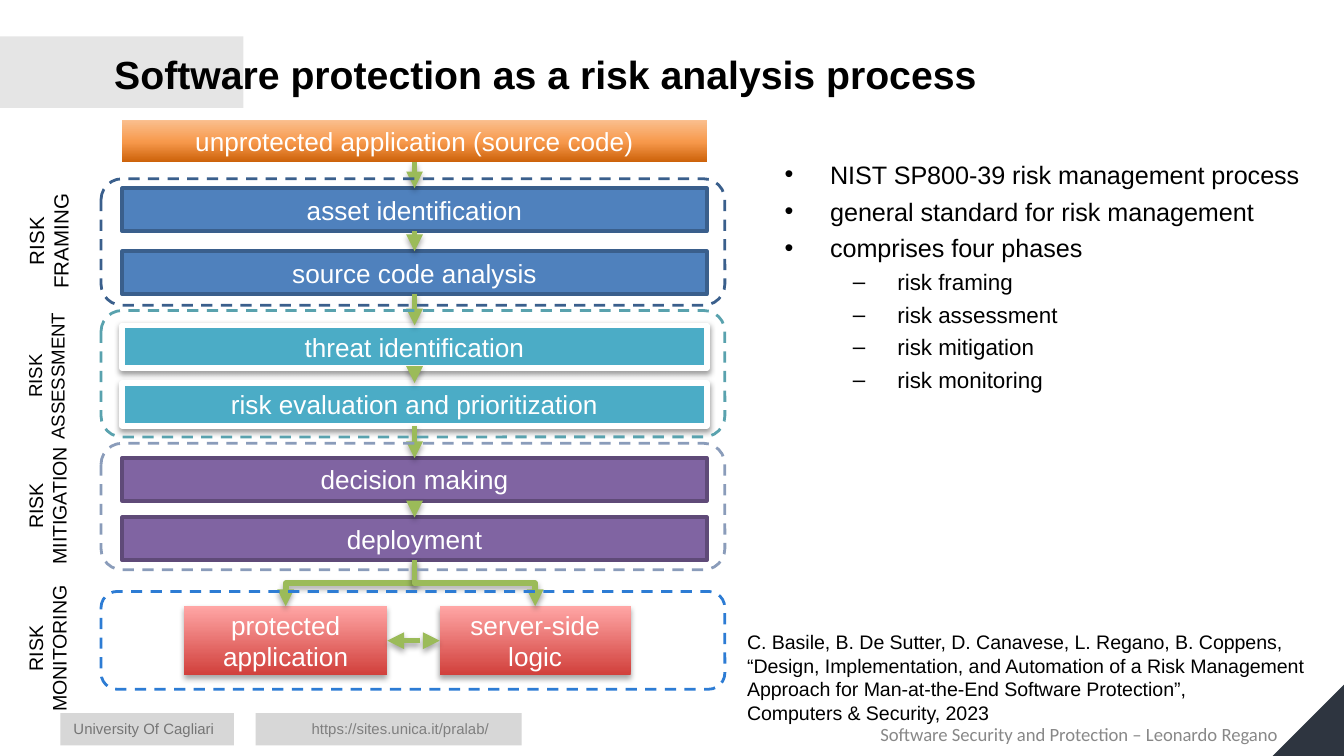
from pptx import Presentation
from pptx.dml.color import RGBColor
from pptx.enum.dml import MSO_LINE
from pptx.enum.shapes import MSO_CONNECTOR, MSO_SHAPE
from pptx.enum.text import MSO_ANCHOR, PP_ALIGN
from pptx.oxml import parse_xml
from pptx.oxml.ns import nsdecls, qn
from pptx.util import Cm, Pt

RECT, ROUND, CORNER = MSO_SHAPE.RECTANGLE, MSO_SHAPE.ROUNDED_RECTANGLE, MSO_SHAPE.RIGHT_TRIANGLE
STRAIGHT, ELBOW = MSO_CONNECTOR.STRAIGHT, MSO_CONNECTOR.ELBOW
DASH, DOT = MSO_LINE.DASH, MSO_LINE.SQUARE_DOT
MIDDLE, LEFT, CENTER, RIGHT = MSO_ANCHOR.MIDDLE, PP_ALIGN.LEFT, PP_ALIGN.CENTER, PP_ALIGN.RIGHT
BOTTOM_SIDE, TOP_SIDE, LEFT_SIDE, RIGHT_SIDE = 2, 0, 1, 3

ORANGE = [(0, "CC6109"), (48, "F7994C"), (100, "FAC090")]
RED = [(0, "D1403C"), (100, "FFA6A5")]
GREEN = "9BBB59"
SOFT = (35, 1.8)   # shadow opacity in percent, distance in points
DEEP = (38, 1.6)

BLUE = {"fill": "4F81BD", "line": ("3A5F8C", 2)}
TEAL = {"fill": "4BACC6", "line": ("FFFFFF", 3), "shade": DEEP}
PURPLE = {"fill": "8064A2", "line": ("5F4A78", 2)}

# text, top, look
STEPS = [
    ("unprotected application (source code)", 2.26, {"fill": ORANGE}),
    ("asset identification", 3.56, BLUE),
    ("source code analysis", 4.75, BLUE),
    ("threat identification", 6.15, TEAL),
    ("risk evaluation and prioritization", 7.24, TEAL),
    ("decision making", 8.66, PURPLE),
    ("deployment", 9.78, PURPLE),
]
STEP_X, STEP_W, STEP_H = 2.31, 11.05, 0.81

# text, left, width
RESULTS = [("protected application", 3.48, 3.84), ("server-side logic", 8.31, 3.61)]
RESULT_Y, RESULT_H = 11.46, 1.3

# label, size, label width, label middle, frame top, frame height, colour
PHASES = [
    ("RISK FRAMING", 11, 2.39, 4.56, 3.38, 2.39, "3A5F8C"),
    ("RISK ASSESSMENT", 10, 3, 7.11, 5.87, 2.39, "59A2AE"),
    ("RISK MIITIGATION", 10.5, 2.82, 9.56, 8.38, 2.39, "8A9CBA"),
    ("RISK MONITORING", 10.5, 3, 12.26, 11.18, 1.85, "2D7CD4"),
]
FRAME_X, FRAME_W, LABEL_X, LABEL_H = 1.91, 11.79, 0.89, 1.14

POINTS = [
    (0, "NIST SP800-39 risk management process"),
    (0, "general standard for risk management"),
    (0, "comprises four phases"),
    (1, "risk framing"),
    (1, "risk assessment"),
    (1, "risk mitigation"),
    (1, "risk monitoring"),
]
# bullet, size, space before, indent, hanging
LEVELS = [("•", 13.5, 3.6, 1.27, 0.86), ("–", 12, 3, 2.54, 0.84)]

CITE = ("C. Basile, B. De Sutter, D. Canavese, L. Regano, B. Coppens, "
        "“Design, Implementation, and Automation of a Risk Management "
        "Approach for Man-at-the-End Software Protection”, \v"
        "Computers & Security, 2023")


def rgb(code):
    return RGBColor.from_string(code)


def apply(item, looks):
    for name, value in looks.items():
        setattr(item, name, value)


def write(shape, text, size, color="000000", align=LEFT, face="Arial", bold=False, **frame):
    body = shape.text_frame
    apply(body, {"word_wrap": True, **frame})
    para = body.paragraphs[0]
    para.text, para.alignment = text, align
    style(para, size, color, face, bold)


def style(para, size, color="000000", face="Arial", bold=False):
    for run in para.runs:
        apply(run.font, {"size": Pt(size), "name": face, "bold": bold})
        run.font.color.rgb = rgb(color)


def note(at, text, size, **looks):
    box = slide.shapes.add_textbox(*map(Cm, at))
    write(box, text, size, **looks)
    return box


def blend(shape, stops):
    """Fill with a gradient that runs from bottom to top."""
    marks = "".join(f'<a:gs pos="{pos * 1000}"><a:srgbClr val="{code}"/></a:gs>'
                    for pos, code in stops)
    shape.fill.background()
    props = shape._element.spPr
    props.replace(props.find(qn("a:noFill")), parse_xml(
        f'<a:gradFill {nsdecls("a")} rotWithShape="1"><a:gsLst>{marks}</a:gsLst>'
        '<a:lin ang="16200000" scaled="0"/></a:gradFill>'))


def cast(item, shade):
    """Replace the theme effects by a drop shadow, or by none."""
    drop = ""
    if shade:
        alpha, gap = shade
        drop = (f'<a:outerShdw blurRad="{Pt(3.1)}" dist="{Pt(gap)}" dir="5400000" rotWithShape="0">'
                f'<a:srgbClr val="000000"><a:alpha val="{alpha * 1000}"/></a:srgbClr></a:outerShdw>')
    item._element.spPr.append(parse_xml(f'<a:effectLst {nsdecls("a")}>{drop}</a:effectLst>'))


def block(at, kind=RECT, fill=None, line=None, shade=None, dash=None, alpha=None):
    shape = slide.shapes.add_shape(kind, *map(Cm, at))
    if isinstance(fill, list):
        blend(shape, fill)
    elif fill:
        shape.fill.solid()
        shape.fill.fore_color.rgb = rgb(fill)
    else:
        shape.fill.background()
    if alpha:
        tint = shape._element.spPr.find(qn("a:solidFill")).find(qn("a:srgbClr"))
        tint.append(parse_xml(f'<a:alpha {nsdecls("a")} val="{alpha * 1000}"/>'))
    if line:
        shape.line.color.rgb, shape.line.width = rgb(line[0]), Pt(line[1])
        shape.line.dash_style = dash
    else:
        shape.line.fill.background()
    cast(shape, shade)
    return shape


def finish(link, ends=("tail",), dash=None):
    link.line.color.rgb, link.line.width = rgb(GREEN), Pt(3)
    link.line.dash_style = dash
    for end in ends:
        link.line._get_or_add_ln().append(
            parse_xml(f'<a:{end}End {nsdecls("a")} type="triangle"/>'))
    cast(link, SOFT)


def join(first, side, last, goal, **looks):
    link = slide.shapes.add_connector(STRAIGHT, 0, 0, 0, 0)
    link.begin_connect(first, side)
    link.end_connect(last, goal)
    finish(link, **looks)


def branch(first, last):
    """Elbow that leaves downwards: a turned frame, mirrored when it goes right."""
    x1, y1 = first.left + first.width // 2, first.top + first.height
    x2, y2 = last.left + last.width // 2, last.top
    wide, high = y2 - y1, abs(x2 - x1)
    left, top = (x1 + x2 - wide) // 2, (y1 + y2 - high) // 2
    start, stop, turn = left, left + wide, 90
    if x2 > x1:
        start, stop, turn = stop, start, 270
    link = slide.shapes.add_connector(ELBOW, start, top, stop, top + high)
    link._element.spPr.find(qn("a:xfrm")).set("rot", str(turn * 60000))
    finish(link)


deck = Presentation()
deck.slide_width, deck.slide_height = Cm(25.4), Cm(14.29)
slide = deck.slides.add_slide(deck.slide_layouts[6])

# Page frame
block((0, 0.69, 4.6, 1.35), fill="BDBDBD", alpha=38)
block((4.83, 13.48, 5.03, 0.61), fill="595959", alpha=24)
note((5.64, 13.48, 4.22, 0.61), "https://sites.unica.it/pralab/", 8, color="7F7F7F")
block((24.05, 12.94, 1.35, 1.35), CORNER, fill="2E3540").rotation = 270
note((1.14, 13.48, 4.22, 0.61), "University Of Cagliari", 8, color="7F7F7F")
block((1.14, 13.48, 3.28, 0.61), fill="595959", alpha=24)
note((14.33, 13.41, 10.06, 0.61), "Software Security and Protection – Leonardo Regano", 10,
     color="888888", face="Calibri", align=RIGHT, margin_top=Cm(0.25))
note((1.91, 0.3, 21.59, 2.18), "Software protection as a risk analysis process", 21,
     bold=True, vertical_anchor=MIDDLE)

# Bullet list
body = slide.shapes.add_textbox(Cm(14.17), Cm(2.88), Cm(10.92), Cm(9.92)).text_frame
body.word_wrap = True
for i, (level, text) in enumerate(POINTS):
    mark, size, gap, indent, hang = LEVELS[level]
    para = body.add_paragraph() if i else body.paragraphs[0]
    para.text, para.level = text, level
    if i:
        para.space_before = Pt(gap)
    props = para._p.get_or_add_pPr()
    props.set("marL", str(Cm(indent)))
    props.set("indent", str(-Cm(hang)))
    props.append(parse_xml(f'<a:buFont {nsdecls("a")} typeface="Arial"/>'))
    props.append(parse_xml(f'<a:buChar {nsdecls("a")} char="{mark}"/>'))
    style(para, size)

# Process
cells = [(text, (STEP_X, top, STEP_W, STEP_H), look) for text, top, look in STEPS]
cells += [(text, (left, RESULT_Y, wide, RESULT_H), {"fill": RED, "shade": SOFT})
          for text, left, wide in RESULTS]
boxes = []
for text, at, look in cells:
    box = block(at, **look)
    write(box, text, 14, color="FFFFFF", align=CENTER, vertical_anchor=MIDDLE)
    boxes.append(box)
steps, results = boxes[:len(STEPS)], boxes[len(STEPS):]

for first, last in zip(steps, steps[1:]):
    join(first, BOTTOM_SIDE, last, TOP_SIDE)
for box in results:
    branch(steps[-1], box)
join(results[0], RIGHT_SIDE, results[1], LEFT_SIDE, ends=("head", "tail"), dash=DOT)

# Phases
for text, size, wide, mid, top, high, color in PHASES:
    block((FRAME_X, top, FRAME_W, high), ROUND, line=(color, 1.5), dash=DASH)
    label = note((LABEL_X - wide / 2, mid - LABEL_H / 2, wide, LABEL_H), text, size, align=CENTER)
    label.rotation = 270

note((13.87, 11.79, 11.56, 2.49), CITE, 10.5)

deck.save("out.pptx")
